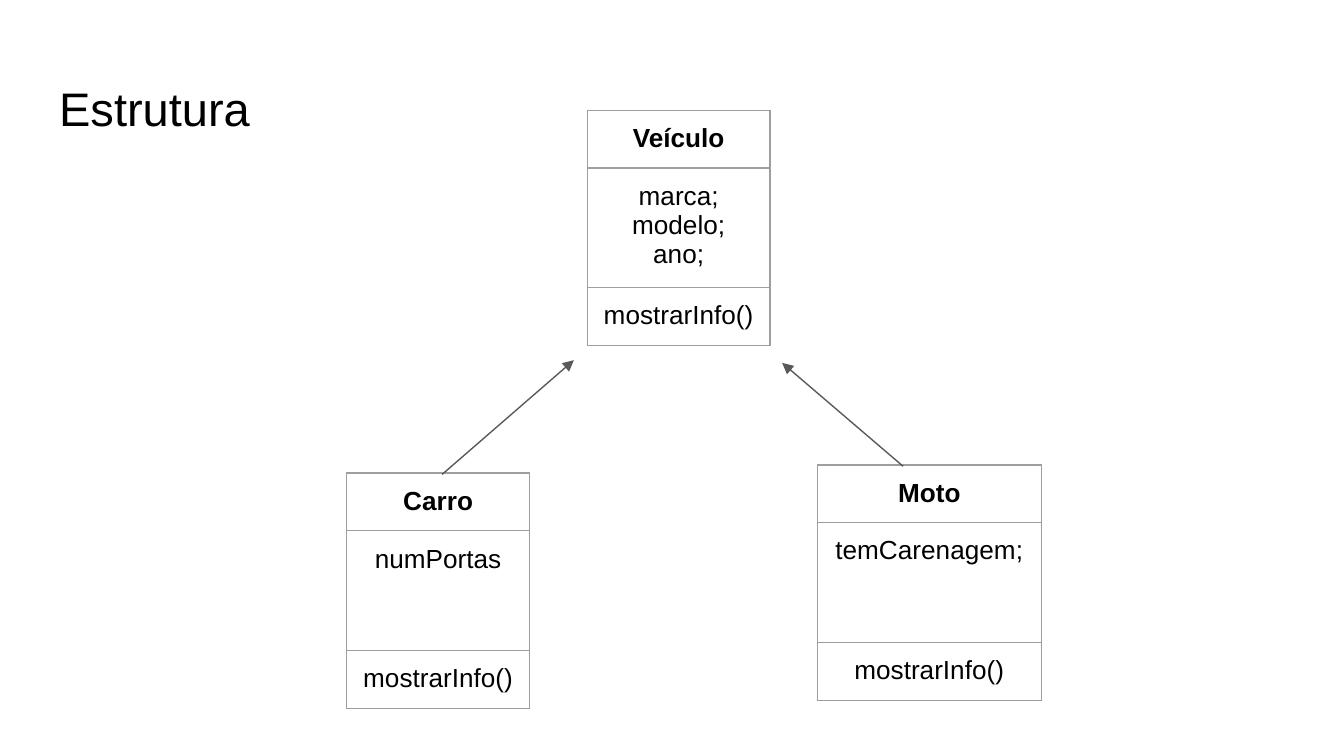
from pptx import Presentation
from pptx.dml.color import RGBColor
from pptx.enum.shapes import MSO_CONNECTOR
from pptx.enum.text import MSO_ANCHOR, MSO_AUTO_SIZE, PP_ALIGN
from pptx.oxml.ns import qn
from pptx.util import Inches, Pt
from lxml.etree import SubElement

COLORS = {"paper": "FFFFFF", "ink": "000000", "border": "9E9E9E", "arrow": "595959"}
FONT = "Arial"
UNIT = 0.1  # inches per grid column and row
PADDING = 1
CLASS_ROWS = (4.3, 8.9, 4.3)  # name, attributes, methods
CLASS_FRAME = 32.8


def grid(units):
    return Inches(units * UNIT)


def rgb(name):
    return RGBColor.from_string(COLORS[name])


class DiagramSlide:
    """Holds the look of the class diagram and the slide it is drawn on."""

    def __init__(self, deck):
        self.slide = deck.slides.add_slide(deck.slide_layouts[5])
        background = self.slide.background.fill
        background.solid()
        background.fore_color.rgb = rgb("paper")

    def add_run(self, paragraph, text, size, bold=False):
        run = paragraph.add_run()
        run.text = text
        run.font.name = FONT
        run.font.size = Pt(size)
        run.font.bold = bold
        run.font.color.rgb = rgb("ink")

    def pad(self, holder):
        for side in ("left", "right", "top", "bottom"):
            setattr(holder, f"margin_{side}", grid(PADDING))

    def title(self, text, left, top, width, height):
        heading = self.slide.shapes.title
        heading.left, heading.top = grid(left), grid(top)
        heading.width, heading.height = grid(width), grid(height)
        frame = heading.text_frame
        self.pad(frame)
        frame.word_wrap = True
        frame.auto_size = MSO_AUTO_SIZE.NONE
        frame.vertical_anchor = MSO_ANCHOR.TOP
        paragraph = frame.paragraphs[0]
        paragraph.alignment = PP_ALIGN.LEFT
        self.add_run(paragraph, text, 25.2)

    def border(self, cell):
        properties = cell._tc.get_or_add_tcPr()
        for side in ("a:lnL", "a:lnR", "a:lnT", "a:lnB"):
            edge = SubElement(properties, qn(side), w=str(Pt(0.75)))
            fill = SubElement(edge, qn("a:solidFill"))
            SubElement(fill, qn("a:srgbClr"), val=COLORS["border"])

    def class_box(self, left, top, width, name, attributes, methods):
        """Draw a UML class as a table of name, attributes and methods."""
        box = self.slide.shapes.add_table(
            len(CLASS_ROWS), 1, grid(left), grid(top), grid(width), grid(sum(CLASS_ROWS))
        )
        table = box.table
        table.first_row = table.horz_banding = False
        sections = ([name], attributes, methods)
        for index, (height, lines) in enumerate(zip(CLASS_ROWS, sections)):
            table.rows[index].height = grid(height)
            cell = table.cell(index, 0)
            self.border(cell)
            cell.fill.background()
            self.pad(cell)
            cell.vertical_anchor = MSO_ANCHOR.TOP
            frame = cell.text_frame
            for number, line in enumerate(lines):
                paragraph = frame.add_paragraph() if number else frame.paragraphs[0]
                paragraph.alignment = PP_ALIGN.CENTER
                self.add_run(paragraph, line, 14, bold=index == 0)
        box.width = box.height = grid(CLASS_FRAME)

    def arrow(self, start, end):
        connector = self.slide.shapes.add_connector(
            MSO_CONNECTOR.STRAIGHT, *map(grid, start + end)
        )
        connector.line.color.rgb = rgb("arrow")
        connector.line.width = Pt(0.75)
        SubElement(connector.line._get_or_add_ln(), qn("a:tailEnd"), type="triangle")
        SubElement(connector._element.spPr, qn("a:effectLst"))


def main():
    deck = Presentation()
    deck.slide_width, deck.slide_height = Inches(10), Inches(10 * 9 / 16)

    diagram = DiagramSlide(deck)
    diagram.title("Estrutura", 3.4, 4.9, 93.2, 6.3)

    show_info = ["mostrarInfo()"]
    diagram.class_box(43.7, 8.2, 13.6, "Veículo", ["marca;", "modelo;", "ano;"], show_info)
    diagram.class_box(25.8, 35.2, 13.6, "Carro", ["numPortas"], show_info)
    diagram.class_box(60.8, 34.6, 16.7, "Moto", ["temCarenagem;"], show_info)

    diagram.arrow((32.9, 35.3), (42.7, 26.8))
    diagram.arrow((67.2, 34.7), (58.2, 27))

    deck.save("out.pptx")


if __name__ == "__main__":
    main()
